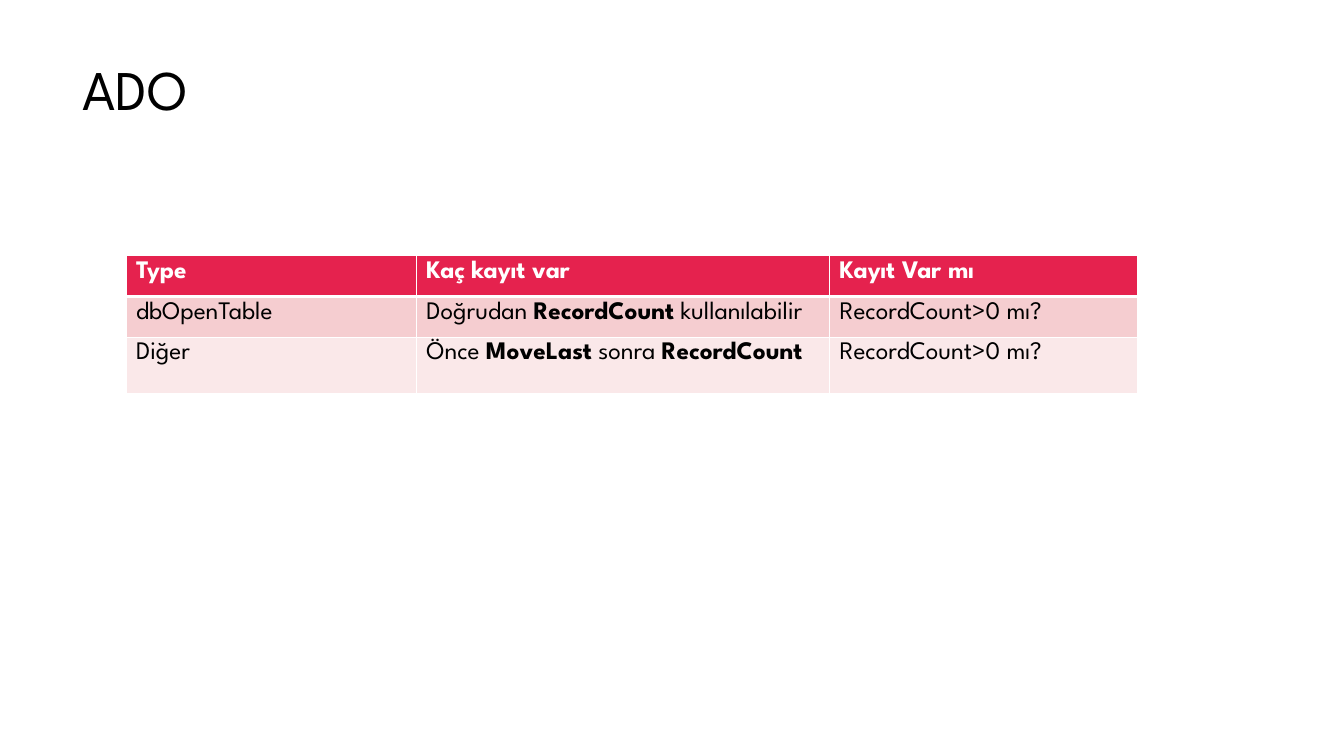
from dataclasses import dataclass

from lxml.etree import SubElement
from pptx import Presentation
from pptx.dml.color import RGBColor
from pptx.enum.text import MSO_ANCHOR, MSO_AUTO_SIZE, PP_ALIGN
from pptx.oxml.ns import qn
from pptx.util import Pt

TITLE = "ADO"
# Each cell is a list of pieces; in body rows every second piece is bold.
HEADER = [["Type"], ["Kaç kayıt var"], ["Kayıt Var mı"]]
BODY = [
    [["dbOpenTable"], ["Doğrudan ", "RecordCount", " kullanılabilir"], ["RecordCount>0 mı?"]],
    [["Diğer"], ["Önce ", "MoveLast", " sonra ", "RecordCount"], ["RecordCount>0 mı?"]],
]
COLUMN_WIDTHS = [207.4, 295.2, 220.3]
ROW_HEIGHTS = [29.2, 29.2, 40]


@dataclass(frozen=True)
class Theme:
    """Font, type sizes, colours and rule widths of the slide."""
    font: str = "League Spartan"
    title_size: int = 40
    table_size: int = 18
    text: str = "000000"
    light: str = "FFFFFF"
    header: str = "E5224E"
    bands: tuple = ("F5CDD0", "FAE8E9")
    thin: int = 1
    thick: int = 3


THEME = Theme()


def style(span, size, color, bold=False):
    """Give a run its font, size, colour and weight."""
    span.font.name = THEME.font
    span.font.size = Pt(size)
    span.font.bold = bold
    span.font.color.rgb = RGBColor.from_string(color)


def add_borders(cell, top, bottom):
    """Draw light rules on all four sides of a cell."""
    properties = cell._tc.get_or_add_tcPr()
    widths = {"lnL": THEME.thin, "lnR": THEME.thin, "lnT": top, "lnB": bottom}
    for side, width in widths.items():
        line = SubElement(properties, qn(f"a:{side}"), w=str(Pt(width)))
        fill = SubElement(line, qn("a:solidFill"))
        SubElement(fill, qn("a:srgbClr"), val=THEME.light)


def fill_cell(cell, pieces, row_index):
    """Write, border and colour one table cell."""
    is_header = row_index == 0
    add_borders(cell,
                top=THEME.thick if row_index == 1 else THEME.thin,
                bottom=THEME.thick if is_header else THEME.thin)
    cell.fill.solid()
    background = THEME.header if is_header else THEME.bands[(row_index - 1) % 2]
    cell.fill.fore_color.rgb = RGBColor.from_string(background)
    para = cell.text_frame.paragraphs[0]
    for index, piece in enumerate(pieces):
        span = para.add_run()
        span.text = piece
        style(span, THEME.table_size, THEME.light if is_header else THEME.text,
              bold=is_header or index % 2 == 1)


def add_title(page):
    """Place and format the title placeholder."""
    box = page.shapes.title
    box.left, box.top, box.width, box.height = Pt(51.8), Pt(15.1), Pt(678.2), Pt(101.5)
    frame = box.text_frame
    frame.text = TITLE
    frame.auto_size = MSO_AUTO_SIZE.NONE
    frame.vertical_anchor = MSO_ANCHOR.MIDDLE
    para = frame.paragraphs[0]
    para.alignment = PP_ALIGN.LEFT
    para.line_spacing = 0.9
    style(para.runs[0], THEME.title_size, THEME.text)


def add_record_table(page):
    """Build the table of record-count rules."""
    rows = [HEADER, *BODY]
    table = page.shapes.add_table(
        len(rows), len(COLUMN_WIDTHS), Pt(90), Pt(182.5),
        Pt(sum(COLUMN_WIDTHS)), Pt(sum(ROW_HEIGHTS))).table
    for column, width in zip(table.columns, COLUMN_WIDTHS):
        column.width = Pt(width)
    for row_index, (row, height) in enumerate(zip(table.rows, ROW_HEIGHTS)):
        row.height = Pt(height)
        for cell, pieces in zip(row.cells, rows[row_index]):
            fill_cell(cell, pieces, row_index)


deck = Presentation()
deck.slide_width, deck.slide_height = Pt(960), Pt(540)
page = deck.slides.add_slide(deck.slide_layouts.get_by_name("Title Only"))
add_title(page)
add_record_table(page)
deck.save("out.pptx")
